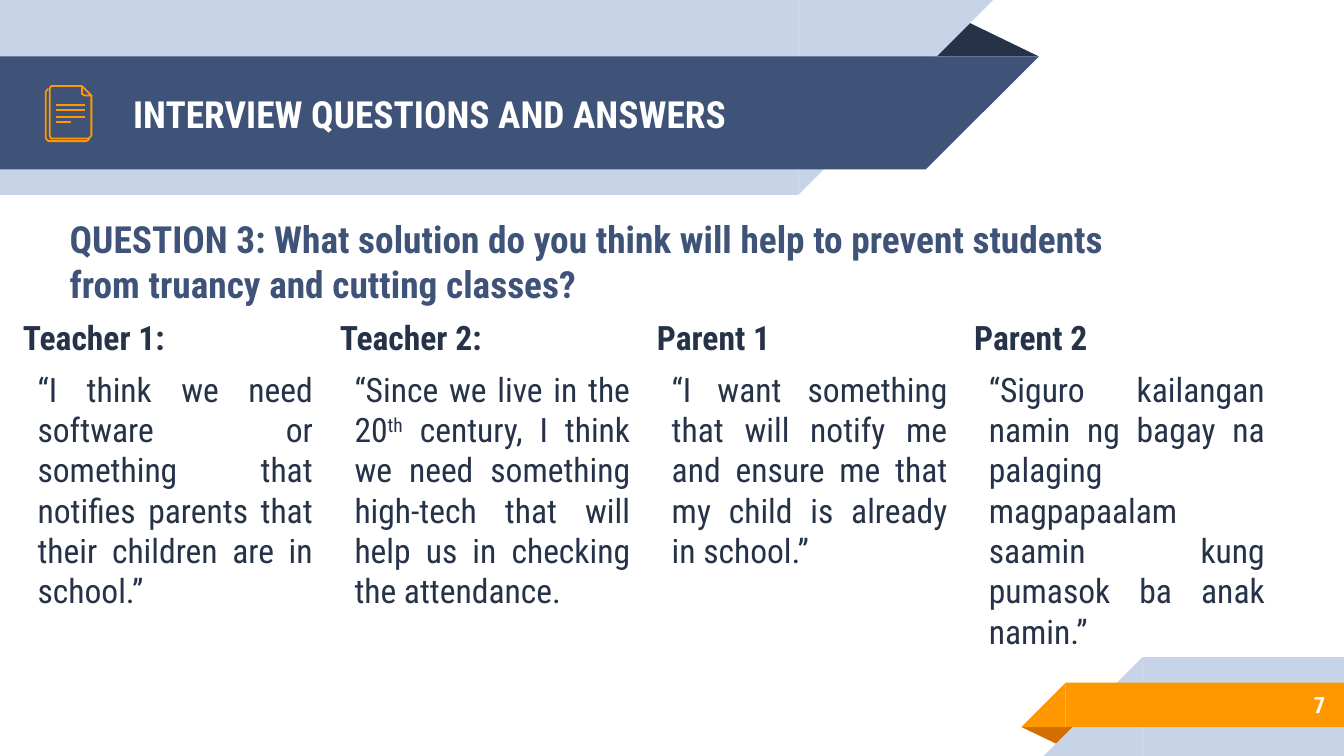
"""Build the interview slide on a grid of 1000 columns, 16 wide by 9 high."""
import dataclasses
import typing

import lxml.etree
import pptx
import pptx.dml.color
import pptx.enum.shapes
import pptx.enum.text
import pptx.oxml
import pptx.oxml.ns
import pptx.util

RGBColor = pptx.dml.color.RGBColor
Preset = pptx.enum.shapes.MSO_SHAPE
Align = pptx.enum.text.PP_ALIGN
Anchor = pptx.enum.text.MSO_ANCHOR

COLUMNS = 1000
CELL = pptx.util.Inches(0.01)
FONT = "Roboto Condensed"
NAVY = RGBColor(0x26, 0x32, 0x48)
BLUE = RGBColor(0x3F, 0x53, 0x78)
PALE = RGBColor(0xC7, 0xD3, 0xE6)
ORANGE = RGBColor(0xFF, 0x98, 0x00)
RUST = RGBColor(0xD2, 0x6F, 0x00)
WHITE = RGBColor(0xFF, 0xFF, 0xFF)


@dataclasses.dataclass(frozen=True)
class Area:
    """A rectangle in grid columns and rows."""
    column: float
    row: float
    columns: float
    rows: float

    def lengths(self) -> list[int]:
        """Return left, top, width and height."""
        return [round(value * CELL) for value in dataclasses.astuple(self)]


@dataclasses.dataclass(frozen=True)
class Band:
    """A bar with one slanted end, at the right or at the left."""
    bar: Area
    color: RGBColor
    slants_right: bool


@dataclasses.dataclass(frozen=True)
class Answer:
    """A speaker and the spans of the reply; odd spans are superscript."""
    speaker: str
    spans: tuple[str, ...]


TOP_BANDS = (
    Band(Area(0, 0, 594, 145), PALE, True),
    Band(Area(0, 42, 689, 84), BLUE, True),
)
BOTTOM_BANDS = (
    Band(Area(850, 489, 150, 73.5), PALE, False),
    Band(Area(793, 508, 207, 33), ORANGE, False),
)
ANSWERS = (
    Answer("Teacher 1:", ("“I think we need software or something that notifies "
                          "parents that their children are in school.”",)),
    Answer("Teacher 2:", ("“Since we live in the 20", "th",
                          " century, I think we need something high-tech that "
                          "will help us in checking the attendance. ")),
    Answer("Parent 1", ("“I want something that will notify me and ensure me "
                        "that my child is already in school.”",)),
    Answer("Parent 2", ("“Siguro kailangan namin ng bagay na palaging magpapaalam "
                        "saamin kung pumasok ba anak namin.” ",)),
)
ICON_OUTLINES = (
    ((66, 103), (66, 104), (64, 105), (36, 105), (34, 103), (34, 68), (35, 67), (36, 66)),
    ((68, 71), (68, 101), (66, 103), (38, 103), (37, 101), (37, 66), (38, 64), (61, 64)),
    ((61, 70), (61, 64), (68, 71), (63, 71), (61, 70)),
)
ICON_LINES = ((63, 78), (63, 82), (63, 87), (53, 91))


def draw_preset(page: typing.Any, preset: typing.Any, area: Area,
                color: RGBColor) -> typing.Any:
    """Draw a plain filled preset shape."""
    shape = page.shapes.add_shape(preset, *area.lengths())
    shape.shadow.inherit = False
    shape.fill.solid()
    shape.fill.fore_color.rgb = color
    shape.line.fill.background()
    return shape


def draw_fold(page: typing.Any, area: Area, color: RGBColor, rotation: int) -> None:
    """Draw the dark triangle behind a band."""
    fold = draw_preset(page, Preset.ISOSCELES_TRIANGLE, area, color)
    fold.adjustments[0] = 0.32
    fold.rotation = rotation


def draw_band(page: typing.Any, band: Band) -> None:
    """Draw a bar and the square triangle at its slanted end."""
    bar = band.bar
    draw_preset(page, Preset.RECTANGLE, bar, band.color)
    column = bar.column + bar.columns if band.slants_right else bar.column - bar.rows
    end = draw_preset(page, Preset.RIGHT_TRIANGLE,
                      Area(column, bar.row, bar.rows, bar.rows), band.color)
    end._element.spPr.xfrm.set("flipV" if band.slants_right else "flipH", "1")


def draw_icon(page: typing.Any) -> None:
    """Draw the document icon in orange lines."""
    strokes = []
    for start, *points in ICON_OUTLINES:
        builder = page.shapes.build_freeform(*start, scale=CELL)
        builder.add_line_segments(points, close=False)
        outline = builder.convert_to_shape()
        outline.shadow.inherit = False
        outline.fill.background()
        strokes.append(outline)
    for column, row in ICON_LINES:
        stroke = page.shapes.add_connector(
            pptx.enum.shapes.MSO_CONNECTOR.STRAIGHT,
            42 * CELL, row * CELL, column * CELL, row * CELL)
        lxml.etree.SubElement(stroke._element.spPr, pptx.oxml.ns.qn("a:effectLst"))
        strokes.append(stroke)
    for stroke in strokes:
        stroke.line.color.rgb = ORANGE
        stroke.line.width = pptx.util.Pt(0.96)


def place_box(box: typing.Any, area: Area, anchor: typing.Any) -> typing.Any:
    """Place a text shape and return its prepared text frame."""
    box.left, box.top, box.width, box.height = area.lengths()
    frame = box.text_frame
    frame.word_wrap = True
    frame.auto_size = pptx.enum.text.MSO_AUTO_SIZE.NONE
    frame.vertical_anchor = anchor
    frame.margin_left = frame.margin_right = 10 * CELL
    frame.margin_top = frame.margin_bottom = 10 * CELL
    return frame


def style_paragraph(para: typing.Any, size: int, color: RGBColor, bold: bool,
                    align: typing.Any) -> None:
    """Set the font and alignment of a paragraph."""
    para.alignment = align
    para.font.name = FONT
    para.font.size = pptx.util.Pt(size)
    para.font.bold = bold
    para.font.color.rgb = color


def write_line(box: typing.Any, area: Area, text: str, size: int, color: RGBColor,
               align: typing.Any = Align.LEFT) -> None:
    """Write one bold, vertically centred paragraph."""
    frame = place_box(box, area, Anchor.MIDDLE)
    frame.text = text
    style_paragraph(frame.paragraphs[0], size, color, True, align)


def write_answer(box: typing.Any, area: Area, answer: Answer) -> None:
    """Write the speaker's name above the indented reply."""
    frame = place_box(box, area, Anchor.TOP)
    frame.text = answer.speaker
    reply = frame.add_paragraph()
    for index, text in enumerate(answer.spans):
        span = reply.add_run()
        span.text = text
        if index % 2:
            span._r.get_or_add_rPr().set("baseline", "30000")
    for para, bold, indent in ((frame.paragraphs[0], True, 0), (reply, False, 11)):
        properties = para._p.get_or_add_pPr()
        properties.set("marL", str(indent * CELL))
        properties.set("indent", "0")
        lxml.etree.SubElement(properties, pptx.oxml.ns.qn("a:buNone"))
        style_paragraph(para, 18, NAVY, bold, Align.JUSTIFY)
        para.space_before = pptx.util.Pt(6)


def main() -> None:
    """Build and save the deck."""
    deck = pptx.Presentation()
    deck.slide_width = COLUMNS * CELL
    deck.slide_height = deck.slide_width * 9 // 16
    page = deck.slides.add_slide(deck.slide_layouts[1])
    title, body = page.placeholders
    draw_fold(page, Area(688, 14, 85, 28), NAVY, 0)
    for band in TOP_BANDS:
        draw_band(page, band)
    draw_fold(page, Area(760, 541, 43, 14), RUST, 180)
    for band in BOTTOM_BANDS:
        draw_band(page, band)
    for placeholder in (body, title):
        page.shapes._spTree.append(placeholder._element)
    draw_icon(page)

    def add_box() -> typing.Any:
        """Add an empty text box."""
        return page.shapes.add_textbox(0, 0, CELL, CELL)

    write_line(title, Area(89, 42.5, 575, 84), "INTERVIEW QUESTIONS AND ANSWERS", 20, WHITE)
    write_line(add_box(), Area(833, 507, 163, 35), "7", 12, WHITE, Align.RIGHT)
    for index, answer in enumerate(ANSWERS):
        box = add_box() if index else body
        write_answer(box, Area(7 + 236 * index, 226, 236, 298), answer)
    write_line(add_box(), Area(42, 152.5, 804, 84),
               "QUESTION 3: What solution do you think will help to prevent "
               "students from truancy and cutting classes?", 20, BLUE)
    deck.save("out.pptx")


if __name__ == "__main__":
    main()
